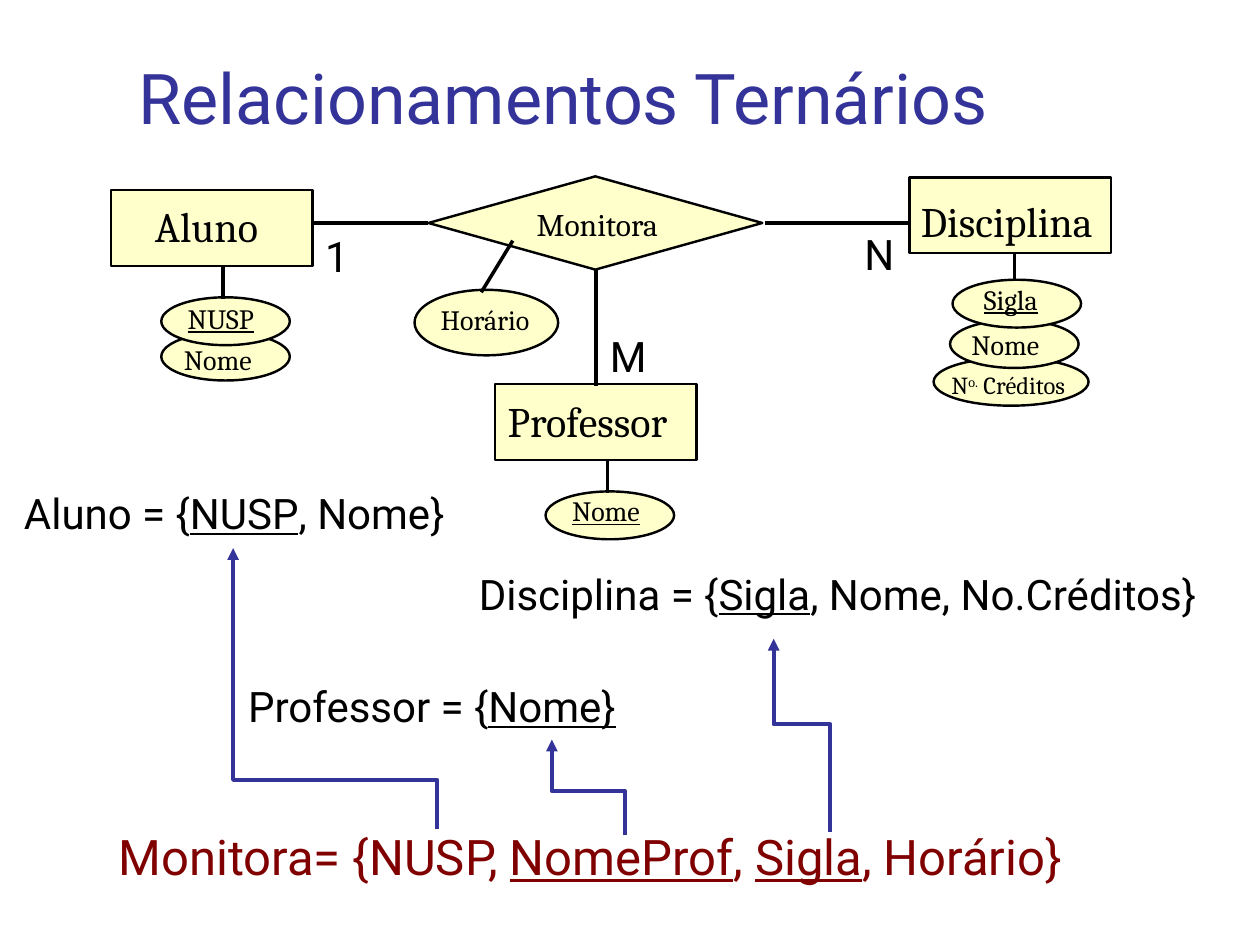
import pptx
import pptx.util
import pptx.dml.color
import pptx.enum.shapes
import pptx.enum.text
import pptx.oxml.ns
import lxml.etree

Inches = pptx.util.Inches
SHAPES = pptx.enum.shapes.MSO_SHAPE
ALIGN = pptx.enum.text.PP_ALIGN
ANCHOR = pptx.enum.text.MSO_ANCHOR

BLACK, CREAM, BLUE, RED = "000000", "FFFFCC", "333399", "800000"
SERIF, SANS = "Cambria", "Roboto"
OUTLINE, LINK, ARROW = 1.39, 2, 2.25
TITLE = ("Relacionamentos Ternários", (1.1, 0.43, 7.44, 0.67))

# Runs are (text, style), with style "" plain, "u" underlined or "sup" raised.
# Shape: preset, its box, runs, size, text box, alignment; back to front.
NODES = [
    (SHAPES.OVAL, (7.41, 2.84, 1.23, 0.38),
     [("N", ""), ("o.", "sup"), (" Créditos", "")], 14, (7.55, 2.94, 1.12, 0.23), ALIGN.LEFT),
    (SHAPES.OVAL, (7.54, 2.54, 1.02, 0.38), [("Nome", "")], 16, (7.71, 2.6, 0.73, 0.27), ALIGN.LEFT),
    (SHAPES.OVAL, (1.28, 2.64, 1.02, 0.38), [("Nome", "")], 16, (1.46, 2.72, 0.73, 0.27), ALIGN.LEFT),
    (SHAPES.OVAL, (1.28, 2.36, 1.02, 0.38), [("NUSP", "u")], 16, (1.49, 2.39, 0.73, 0.27), ALIGN.LEFT),
    (SHAPES.RECTANGLE, (7.22, 1.41, 1.6, 0.6), [("Disciplina", "")], 24, (7.31, 1.55, 1.47, 0.4), ALIGN.LEFT),
    (SHAPES.OVAL, (7.56, 2.22, 1.02, 0.38), [("Sigla", "u")], 16, (7.81, 2.24, 0.66, 0.27), ALIGN.LEFT),
    (SHAPES.DIAMOND, (3.4, 1.4, 2.65, 0.74), [("Monitora", "")], 18, (3.93, 1.63, 1.62, 0.3), ALIGN.CENTER),
    (SHAPES.RECTANGLE, (0.88, 1.51, 1.6, 0.6), [("Aluno", "")], 24, (1.23, 1.59, 0.96, 0.4), ALIGN.LEFT),
    (SHAPES.OVAL, (3.29, 2.3, 1.14, 0.52), [("Horário", "")], 16, (3.32, 2.4, 1.06, 0.27), ALIGN.CENTER),
    (SHAPES.OVAL, (4.33, 3.9, 1.02, 0.38), [("Nome", "u")], 16, (4.54, 3.92, 0.73, 0.27), ALIGN.LEFT),
    (SHAPES.RECTANGLE, (3.93, 3.05, 1.6, 0.6), [("Professor", "")], 24, (4.03, 3.14, 1.67, 0.4), ALIGN.LEFT),
]
LINKS = [
    (8.05, 2.23, 8.05, 2.01),
    (1.77, 2.37, 1.77, 2.11),
    (4.82, 3.91, 4.82, 3.65),
    (2.48, 1.77, 3.4, 1.77),
    (6.07, 1.77, 7.23, 1.77),
    (3.82, 2.32, 4.07, 1.91),
    (4.73, 2.14, 4.73, 3.06),
]
CARDINALITIES = [("1", 2.58, 1.83), ("N", 6.86, 1.81), ("M", 4.84, 2.62)]
RELATIONS = [
    ([("Aluno = {", ""), ("NUSP", "u"), (", Nome}", "")], 24, BLACK, (0.19, 3.87, 3.81, 0.4)),
    ([("Disciplina = {", ""), ("Sigla", "u"), (", Nome, No.Créditos}", "")],
     24, BLACK, (3.8, 4.51, 6, 0.4)),
    ([("Professor = {", ""), ("Nome}", "u")], 24, BLACK, (1.97, 5.4, 3.34, 0.4)),
    ([("Monitora= {NUSP, ", ""), ("NomeProf", "u"), (", ", ""), ("Sigla", "u"), (", Horário}", "")],
     28, RED, (0.94, 6.56, 7.85, 0.47)),
]
# Foreign key arrows: start x, start y, bend y, end x, end y
KEY_ARROWS = [
    (3.47, 6.58, 6.19, 1.85, 4.35),
    (4.96, 6.63, 6.28, 4.38, 5.87),
    (6.59, 6.6, 5.75, 6.14, 5.07),
]


def color(hex_string):
    return pptx.dml.color.RGBColor.from_string(hex_string)


def set_line(shape, hex_string, width):
    shape.line.color.rgb = color(hex_string)
    shape.line.width = pptx.util.Pt(width)


def write(shape, runs, size, font, hex_string, align=ALIGN.LEFT, anchor=ANCHOR.TOP):
    frame = shape.text_frame
    frame_format = {"word_wrap": True, "vertical_anchor": anchor, "margin_left": 0,
                    "margin_right": 0, "margin_top": 0, "margin_bottom": 0}
    for name, value in frame_format.items():
        setattr(frame, name, value)
    paragraph = frame.paragraphs[0]
    paragraph.alignment = align
    for text, style in runs:
        run = paragraph.add_run()
        run.text = text
        font_format = {"name": font, "size": pptx.util.Pt(size), "underline": style == "u"}
        for name, value in font_format.items():
            setattr(run.font, name, value)
        run.font.color.rgb = color(hex_string)
        if style == "sup":
            run.font._element.set("baseline", "30000")


def add_text(slide, box, *text_format):
    write(slide.shapes.add_textbox(*map(Inches, box)), *text_format)


def add_node(slide, preset, box, runs, size, text_box, align):
    shape = slide.shapes.add_shape(preset, *map(Inches, box))
    shape.shadow.inherit = False
    shape.fill.solid()
    shape.fill.fore_color.rgb = color(CREAM)
    set_line(shape, BLACK, OUTLINE)
    add_text(slide, text_box, runs, size, SERIF, BLACK, align)


def add_link(slide, ends):
    connector = slide.shapes.add_connector(
        pptx.enum.shapes.MSO_CONNECTOR.STRAIGHT, *map(Inches, ends))
    set_line(connector, BLACK, LINK)
    lxml.etree.SubElement(connector._element.spPr, pptx.oxml.ns.qn("a:effectLst"))


def add_key_arrow(slide, start_x, start_y, bend_y, end_x, end_y):
    corners = [(start_x, bend_y), (end_x, bend_y), (end_x, end_y)]
    builder = slide.shapes.build_freeform(Inches(start_x), Inches(start_y))
    builder.add_line_segments([(Inches(x), Inches(y)) for x, y in corners], close=False)
    shape = builder.convert_to_shape()
    shape.shadow.inherit = False
    shape.fill.background()
    set_line(shape, BLUE, ARROW)
    line = shape.line._get_or_add_ln()
    lxml.etree.SubElement(line, pptx.oxml.ns.qn("a:tailEnd"), type="triangle")


def main():
    presentation = pptx.Presentation()
    presentation.slide_width, presentation.slide_height = Inches(10), Inches(7.5)
    slide = presentation.slides.add_slide(presentation.slide_layouts.get_by_name("Title Only"))

    text, box = TITLE
    title = slide.shapes.title
    title.left, title.top, title.width, title.height = map(Inches, box)
    write(title, [(text, "")], 40, SANS, BLUE, anchor=ANCHOR.BOTTOM)

    for node in NODES:
        add_node(slide, *node)
    for ends in LINKS:
        add_link(slide, ends)
    for text, left, top in CARDINALITIES:
        add_text(slide, (left, top, 0.4, 0.4), [(text, "")], 24, SANS, BLACK)
    for runs, size, hex_string, box in RELATIONS:
        add_text(slide, box, runs, size, SANS, hex_string)
    for arrow in KEY_ARROWS:
        add_key_arrow(slide, *arrow)
    presentation.save("out.pptx")


if __name__ == "__main__":
    main()
